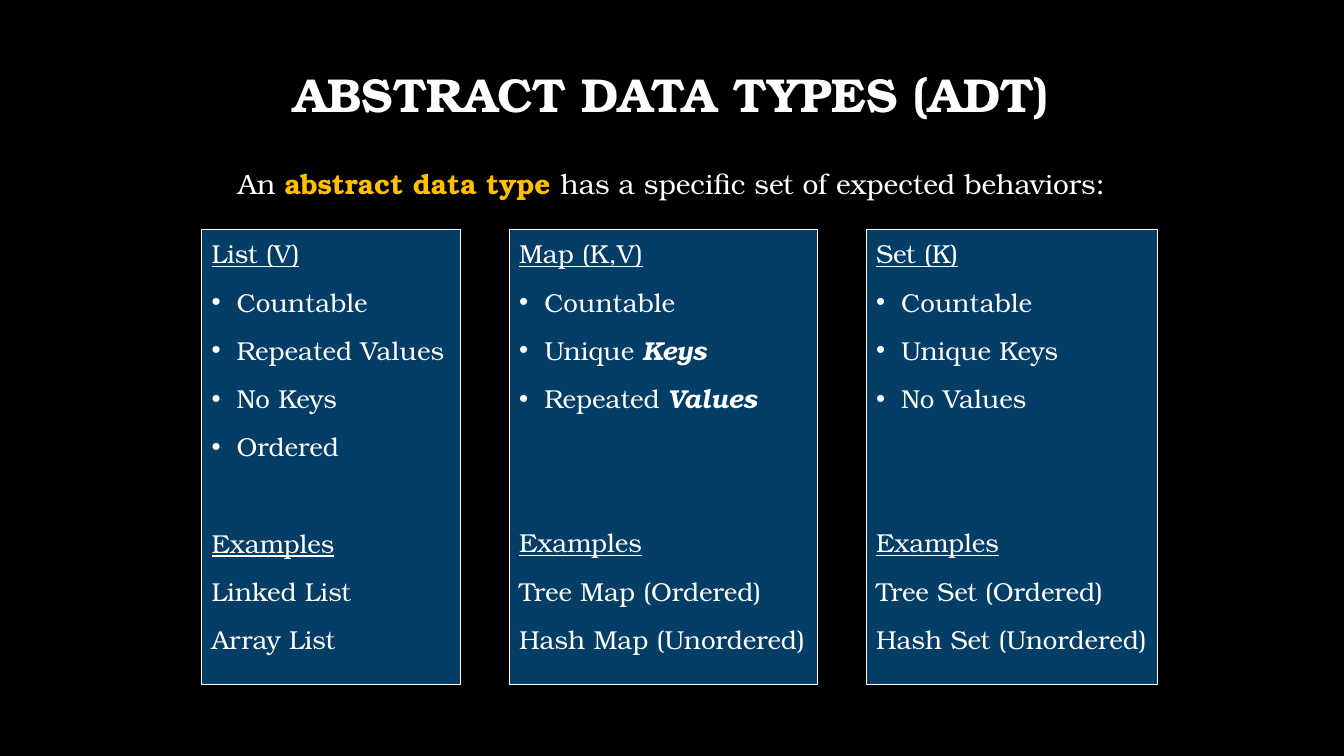
import pptx
import pptx.util
from pptx.dml.color import RGBColor
from pptx.enum.shapes import MSO_SHAPE
from pptx.enum.text import MSO_ANCHOR, PP_ALIGN
from pptx.oxml.ns import qn
from pptx.util import Inches, Pt
from lxml import etree

FONT = "TeX Gyre Bonum"
BLACK = RGBColor(0x00, 0x00, 0x00)
WHITE = RGBColor(0xFF, 0xFF, 0xFF)
GOLD = RGBColor(0xFF, 0xC0, 0x00)
NAVY = RGBColor(0x04, 0x3D, 0x66)

TITLE = "ABSTRACT DATA TYPES (ADT)"
INTRO = ("An ", "abstract data type ", "has a specific set of expected behaviors:")
# Each behavior is a plain part and an emphasized part.
CARDS = [
    {"heading": "List (V)", "width": 2.57,
     "behaviors": [("Countable", ""), ("Repeated Values", ""), ("No Keys", ""), ("Ordered", "")],
     "examples": ["Linked List", "Array List"]},
    {"heading": "Map (K,V)", "width": 3.06,
     "behaviors": [("Countable", ""), ("Unique ", "Keys"), ("Repeated ", "Values")],
     "examples": ["Tree Map (Ordered)", "Hash Map (Unordered)"]},
    {"heading": "Set (K)", "width": 2.89,
     "behaviors": [("Countable", ""), ("Unique Keys", ""), ("No Values", "")],
     "examples": ["Tree Set (Ordered)", "Hash Set (Unordered)"]},
]

CARD_LEFT, CARD_TOP, CARD_HEIGHT, CARD_GAP = 2, 2.28, 4.51, 0.48
BEHAVIOR_ROWS = 5  # rows between a card's heading and its examples
ROW_PITCH = 34.4   # points from one card row to the next
ROW_SPACE = 10     # points before each paragraph


def style_paragraph(paragraph, size, line_spacing, space_before=0, align=PP_ALIGN.LEFT):
    paragraph.font.name = FONT
    paragraph.font.size = Pt(size)
    paragraph.font.color.rgb = WHITE
    paragraph.line_spacing = line_spacing
    paragraph.space_before = Pt(space_before)
    paragraph.alignment = align


def add_centered_line(slide, top, height, anchor, parts, size, line_spacing, space_before=0):
    """Add a full-width centred text box and return its runs."""
    frame = slide.shapes.add_textbox(Inches(1), Inches(top), Inches(11.32), Inches(height)).text_frame
    frame.word_wrap = True
    frame.vertical_anchor = anchor
    paragraph = frame.paragraphs[0]
    for part in parts:
        paragraph.add_run().text = part
    style_paragraph(paragraph, size, line_spacing, space_before, PP_ALIGN.CENTER)
    return paragraph.runs


def add_bullet(paragraph):
    properties = paragraph._p.get_or_add_pPr()
    properties.set("marL", str(Inches(0.25)))
    properties.set("indent", str(-Inches(0.25)))
    etree.SubElement(properties, qn("a:buFont")).set("typeface", "Arial")
    etree.SubElement(properties, qn("a:buChar")).set("char", "•")
    # The schema wants the default run properties after the bullet.
    properties.append(properties.find(qn("a:defRPr")))


def add_card(slide, left, card):
    shape = slide.shapes.add_shape(MSO_SHAPE.RECTANGLE, Inches(left), Inches(CARD_TOP),
                                   Inches(card["width"]), Inches(CARD_HEIGHT))
    shape.shadow.inherit = False
    shape.fill.solid()
    shape.fill.fore_color.rgb = NAVY
    shape.line.color.rgb = WHITE
    shape.line.width = Pt(0.75)
    frame = shape.text_frame
    frame.word_wrap = True
    frame.vertical_anchor = MSO_ANCHOR.TOP

    def add_row(text, space_before=ROW_SPACE):
        first = frame.paragraphs[0]
        paragraph = frame.add_paragraph() if first.runs else first
        paragraph.add_run().text = text
        style_paragraph(paragraph, 18.5, 1.1, space_before)
        return paragraph

    add_row(card["heading"]).font.underline = True
    for plain, emphasis in card["behaviors"]:
        paragraph = add_row(plain)
        add_bullet(paragraph)
        if emphasis:
            run = paragraph.add_run()
            run.text = emphasis
            run.font.bold = run.font.italic = True
    free_rows = BEHAVIOR_ROWS - len(card["behaviors"])
    add_row("Examples", ROW_SPACE + free_rows * ROW_PITCH).font.underline = True
    for example in card["examples"]:
        add_row(example)


def main():
    presentation = pptx.Presentation()
    presentation.slide_width = Inches(13.33)
    presentation.slide_height = Inches(7.5)
    slide = presentation.slides.add_slide(presentation.slide_layouts[6])
    slide.background.fill.solid()
    slide.background.fill.fore_color.rgb = BLACK

    title_runs = add_centered_line(slide, 0.24, 1.45, MSO_ANCHOR.MIDDLE, [TITLE], 34, 0.9)
    title_runs[0].font.bold = True
    term = add_centered_line(slide, 1.54, 0.57, MSO_ANCHOR.TOP, INTRO, 20, 1.2, 10)[1]
    term.font.bold = True
    term.font.color.rgb = GOLD

    left = CARD_LEFT
    for card in CARDS:
        add_card(slide, left, card)
        left += card["width"] + CARD_GAP

    presentation.save("out.pptx")


if __name__ == "__main__":
    main()
